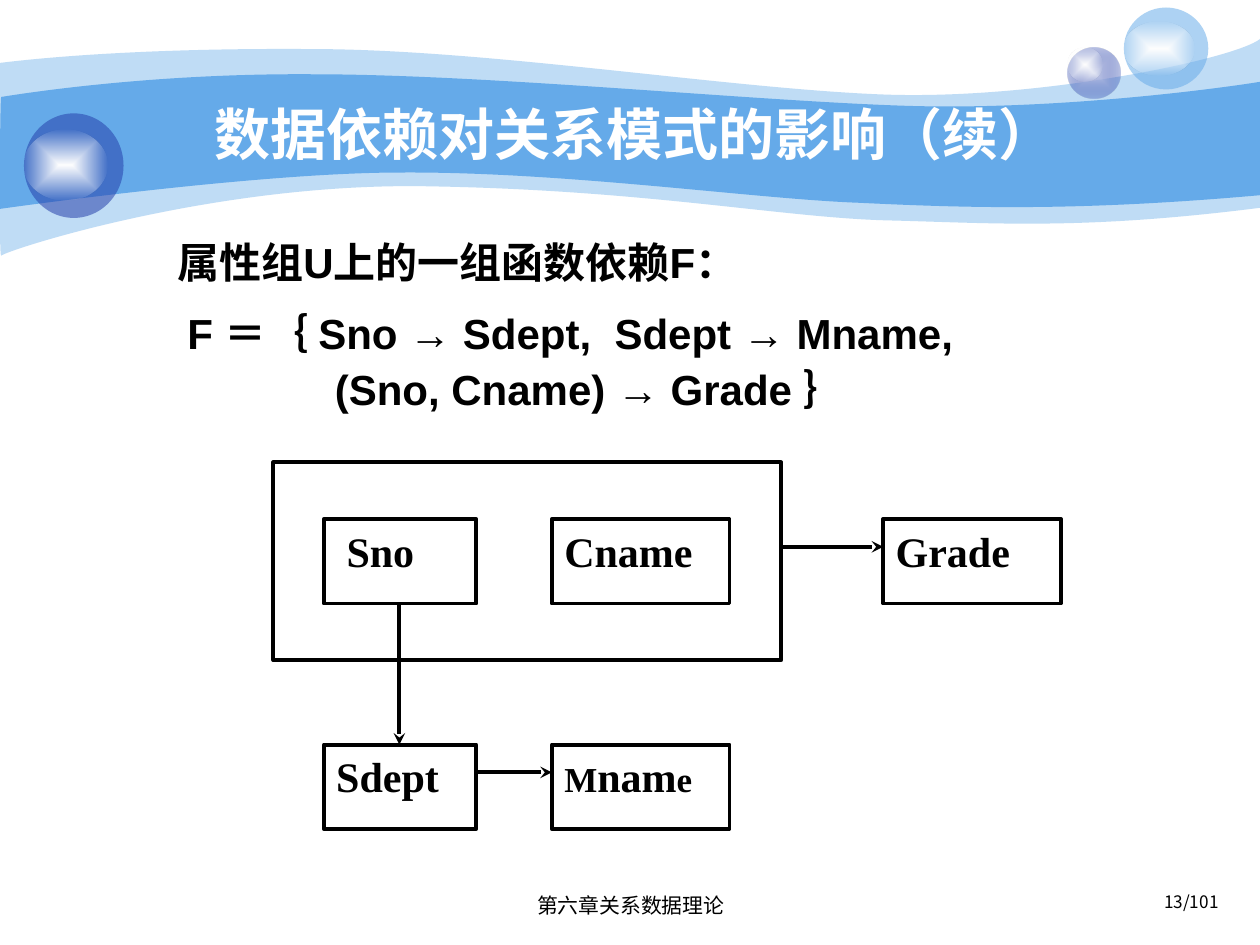
from lxml import etree
from pptx import Presentation, util as u
from pptx.dml.color import RGBColor
from pptx.enum import shapes, text
from pptx.oxml import parse_xml
from pptx.oxml.ns import qn

NS = "http://schemas.openxmlformats.org/drawingml/2006/main"
INK = {"sky": "65AAE9", "navy": "233DA9", "lilac": "C7CEE9",
       "white": "FFFFFF", "black": "000000"}
SERIF = "Times New Roman"
LEFT, MID, RIGHT = 2.57, 4.38, 7.01
TOP, LOW, TALL = 4.12, 5.91, 0.67
SLIM, WIDE = 1.21, 1.41

LIGHT = [[(0, 0.5)],
         [(0.24, 0.47), (1.07, 0.38), (2.47, 0.39)],
         [(3.86, 0.39), (5.75, 0.7), (6.99, 0.75)],
         [(8.22, 0.8), (9.8, 0.47), (10, 0.31)],
         [(10, 1.65)],
         [(8.58, 1.83), (7.87, 1.77), (7.05, 1.75)],
         [(6.22, 1.73), (5.15, 1.51), (3.43, 1.48)],
         [(1.72, 1.44), (0.04, 1.99), (0.01, 2.03)],
         [(-0.01, 2.08), (0, 0.75), (0, 0.5)]]
DEEP = [[(0.01, 0.77)],
        [(0.02, 0.77), (1.1, 0.58), (2.48, 0.59)],
        [(3.86, 0.59), (5.95, 0.8), (7.18, 0.84)],
        [(8.41, 0.88), (9.76, 0.69), (10, 0.65)],
        [(10, 1.55)],
        [(8.53, 1.68), (7.65, 1.65), (6.82, 1.61)],
        [(5.99, 1.58), (4.47, 1.36), (3.17, 1.37)],
        [(2.03, 1.37), (-0.02, 1.66), (-0.01, 1.66)],
        [(0, 1.66), (0, 0.77), (0.01, 0.77)]]


class Deck:
    """Holds the style and the current slide."""

    def __init__(self):
        self.prs = Presentation()
        self.prs.slide_width, self.prs.slide_height = u.Inches(10), u.Inches(7.5)
        self.items = self.prs.slides.add_slide(self.prs.slide_layouts[6]).shapes

    def tint(self, shape, ink, alpha=100):
        shape.shadow.inherit = False
        shape.line.fill.background()
        shape.fill.solid()
        shape.fill.fore_color.rgb = RGBColor.from_string(INK[ink])
        if alpha < 100:
            tone = shape._element.spPr.find(".//" + qn("a:srgbClr"))
            etree.SubElement(tone, qn("a:alpha")).set("val", str(alpha * 1000))

    def wave(self, parts, alpha=100):
        pts = [(u.Inches(x), u.Inches(y)) for part in parts for x, y in part]
        pen = self.items.build_freeform(*pts[0])
        pen.add_line_segments(pts[1:], close=True)
        form = pen.convert_to_shape()
        lines = iter(form._element.spPr.findall(".//" + qn("a:lnTo")))
        for part in parts[1:]:
            group = [next(lines) for _ in part]
            if len(group) == 3:
                curve = etree.Element(qn("a:cubicBezTo"))
                group[0].addprevious(curve)
                for line in group:
                    curve.append(line[0])
                    line.getparent().remove(line)
        self.tint(form, "sky", alpha)

    def ball(self, at, ink, alpha=100):
        oval = self.items.add_shape(shapes.MSO_SHAPE.OVAL, *map(u.Inches, at))
        self.tint(oval, ink, alpha)
        return oval

    def glow(self, at, core="white", rim="white", alpha=0):
        oval = self.ball(at, core)
        old = oval._element.spPr.find(qn("a:solidFill"))
        new = parse_xml(
            f'<a:gradFill xmlns:a="{NS}" rotWithShape="1"><a:gsLst>'
            f'<a:gs pos="0"><a:srgbClr val="{INK[core]}"/></a:gs>'
            f'<a:gs pos="100000"><a:srgbClr val="{INK[rim]}">'
            f'<a:alpha val="{alpha * 1000}"/></a:srgbClr></a:gs></a:gsLst>'
            '<a:path path="rect"><a:fillToRect l="50000" t="50000" r="50000" '
            'b="50000"/></a:path></a:gradFill>')
        old.getparent().replace(old, new)

    def font(self, para, size, name="Arial", ink="black", bold=False):
        para.font.size, para.font.name, para.font.bold = u.Pt(size), name, bold
        para.font.color.rgb = RGBColor.from_string(INK[ink])

    def label(self, at, words, size, align, space=1.0, **look):
        frame = self.items.add_textbox(*map(u.Inches, at)).text_frame
        frame.word_wrap = True
        para = frame.paragraphs[0]
        para.text, para.alignment, para.line_spacing = words, align, space
        self.font(para, size, **look)
        return frame

    def body(self, at, rows):
        frame = self.items.add_textbox(*map(u.Inches, at)).text_frame
        frame.word_wrap = True
        for i, (runs, dent, space, gap) in enumerate(rows):
            para = frame.add_paragraph() if i else frame.paragraphs[0]
            para.line_spacing, para.space_before = space, u.Pt(gap)
            para._p.get_or_add_pPr().set("indent", str(u.Inches(dent)))
            self.font(para, 24, bold=True)
            for words in runs:
                run = para.add_run()
                run.text = words
                if words == " ":
                    run._r.get_or_add_rPr().set("spc", "667")

    def box(self, at, runs=(), inset=0.1):
        rect = self.items.add_shape(shapes.MSO_SHAPE.RECTANGLE, *map(u.Inches, at))
        rect.shadow.inherit = False
        rect.fill.background()
        rect.line.color.rgb = RGBColor.from_string(INK["black"])
        rect.line.width = u.Pt(2.25)
        frame = rect.text_frame
        frame.vertical_anchor = text.MSO_ANCHOR.TOP
        frame.margin_left = u.Inches(inset)
        para = frame.paragraphs[0]
        para.alignment = text.PP_ALIGN.JUSTIFY
        self.font(para, 24, SERIF, bold=True)
        for words, size in runs:
            run = para.add_run()
            run.text = words
            if size != 24:
                run.font.size = u.Pt(size)

    def arrow(self, *ends):
        wire = self.items.add_connector(shapes.MSO_CONNECTOR.STRAIGHT, *map(u.Inches, ends))
        wire.line.color.rgb = RGBColor.from_string(INK["black"])
        wire.line.width = u.Pt(2.25)
        etree.SubElement(wire.line._get_or_add_ln(), qn("a:tailEnd"), type="stealth")
        etree.SubElement(wire._element.spPr, qn("a:effectLst"))


def main():
    deck = Deck()
    deck.wave(LIGHT, 41)
    deck.wave(DEEP)
    deck.glow((8.47, 0.38, 0.42, 0.4), "lilac", "navy", 31)
    deck.glow((8.47, 0.38, 0.28, 0.27))
    deck.ball((8.92, 0.06, 0.67, 0.65), "sky", 53)
    deck.glow((8.92, 0.17, 0.56, 0.43))
    deck.ball((0.19, 0.9, 0.79, 0.83), "navy", 53)
    deck.glow((0.19, 1.03, 0.66, 0.56))

    align = text.PP_ALIGN
    deck.label((7.44, 7.06, 2.33, 0.29), "13/101", 9.8, align.RIGHT, 0.8,
               name="Noto Sans CJK SC")
    deck.label((3.42, 7.06, 3.17, 0.32), "第六章关系数据理论", 11.9, align.CENTER, 0.9)
    title = deck.label((1, 0.75, 8.08, 0.62), "数据依赖对关系模式的影响（续）", 32,
                       align.CENTER, ink="white", bold=True)
    title.vertical_anchor = text.MSO_ANCHOR.MIDDLE
    deck.body((1.08, 1.83, 8.5, 4.5), [
        (["属性组U上的一组函数依赖F："], 0.23, 1.0, 0),
        (["F ＝｛ Sno → Sdept,", " ", "Sdept → Mname,"], 0.31, 1.2, 6),
        (["(Sno, Cname) → Grade ｝"], 1.48, 1.0, 3)])

    deck.box((2.17, 3.67, 4.03, 1.57))
    deck.box((LEFT, TOP, SLIM, TALL), [("Sno", 24)], 0.18)
    deck.box((MID, TOP, WIDE, TALL), [("Cname", 24)])
    deck.box((LEFT, LOW, SLIM, TALL), [("Sdept", 24)])
    deck.box((MID, LOW, WIDE, TALL), [("M", 20), ("nam", 24), ("e", 20)])
    deck.arrow(3.17, TOP + TALL, 3.17, LOW)
    deck.arrow(LEFT + SLIM, LOW + 0.22, MID, LOW + 0.22)
    deck.box((RIGHT, TOP, WIDE, TALL), [("Grade", 24)])
    deck.arrow(6.2, TOP + 0.22, RIGHT, TOP + 0.22)
    deck.prs.save("out.pptx")


if __name__ == "__main__":
    main()
